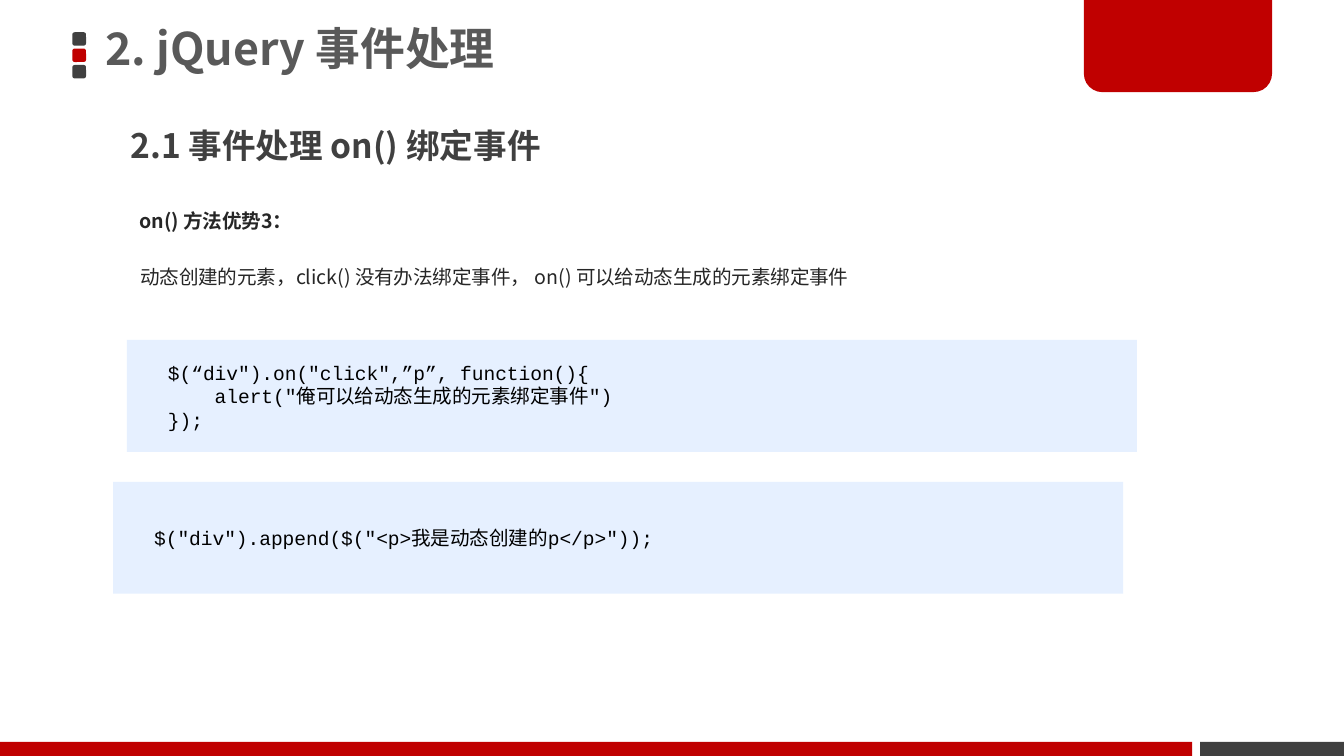
from dataclasses import dataclass

from lxml.etree import SubElement
from pptx import Presentation
from pptx.dml.color import RGBColor
from pptx.enum.shapes import MSO_SHAPE
from pptx.enum.text import MSO_ANCHOR, MSO_AUTO_SIZE, PP_ALIGN
from pptx.oxml.ns import qn
from pptx.util import Inches, Pt

# Colours and fonts
RED = RGBColor(0xC0, 0x00, 0x00)
DARK = RGBColor(0x40, 0x40, 0x40)
TITLE_GREY = RGBColor(0x59, 0x59, 0x59)
TEXT_GREY = RGBColor(0x26, 0x26, 0x26)
CODE_BLUE = RGBColor(0xE6, 0xF0, 0xFF)
BLACK = RGBColor(0x00, 0x00, 0x00)
SANS = "Noto Sans CJK SC"
MONO = "Courier New"

# The grid has columns and rows of 0.1 inch on a 16:9 slide
CELL = 0.1
COLUMNS = 100
ROWS = COLUMNS * 9 / 16
FOOTER_ROWS = 1.05


@dataclass(frozen=True)
class Area:
    column: float
    row: float
    columns: float
    rows: float

    def lengths(self) -> tuple:
        cells = (self.column, self.row, self.columns, self.rows)
        return tuple(Inches(n * CELL) for n in cells)


@dataclass(frozen=True)
class Style:
    size: float
    color: RGBColor
    bold: bool = False
    spacing: float = 1.0
    font: str = SANS
    indent: float = 0


TITLE = Style(24, TITLE_GREY, True, 0.9)
SECTION = Style(18, DARK, True, 0.9)
LEAD = Style(10.5, TEXT_GREY, True, 1.5)
DETAIL = Style(10.5, TEXT_GREY, False, 1.5)
CODE = Style(10.5, BLACK, font=MONO, indent=1.2)


def write(frame, text: str, style: Style, anchor=MSO_ANCHOR.TOP) -> None:
    """Fill a text frame and format every paragraph alike."""
    frame.text = text
    frame.word_wrap = True
    frame.auto_size = MSO_AUTO_SIZE.NONE
    frame.vertical_anchor = anchor
    for paragraph in frame.paragraphs:
        properties = paragraph._p.get_or_add_pPr()
        properties.set("marL", str(Inches(style.indent * CELL)))
        properties.set("indent", "0")
        SubElement(properties, qn("a:buNone"))
        paragraph.alignment = PP_ALIGN.LEFT
        paragraph.line_spacing = style.spacing
        paragraph.space_before = Pt(0)
        for run in paragraph.runs:
            run.font.size = Pt(style.size)
            run.font.bold = style.bold
            run.font.name = style.font
            run.font.color.rgb = style.color
            SubElement(run._r.get_or_add_rPr(), qn("a:ea")).set("typeface", SANS)


def draw_block(slide, area: Area, color: RGBColor, preset=MSO_SHAPE.RECTANGLE,
               corners: tuple = ()):
    block = slide.shapes.add_shape(preset, *area.lengths())
    block.shadow.inherit = False
    block.fill.solid()
    block.fill.fore_color.rgb = color
    block.line.fill.background()
    for index, corner in enumerate(corners):
        block.adjustments[index] = corner
    return block


def fill_placeholder(placeholder, area: Area, text: str, style: Style, anchor) -> None:
    (placeholder.left, placeholder.top,
     placeholder.width, placeholder.height) = area.lengths()
    write(placeholder.text_frame, text, style, anchor)


def add_note(slide, area: Area, text: str, style: Style) -> None:
    write(slide.shapes.add_textbox(*area.lengths()).text_frame, text, style)


def add_code(slide, column: float, row: float, code: str) -> None:
    panel = draw_block(slide, Area(column, row, 75.15, 8.33), CODE_BLUE)
    write(panel.text_frame, code, CODE, MSO_ANCHOR.MIDDLE)


def main() -> None:
    deck = Presentation()
    deck.slide_width = Inches(COLUMNS * CELL)
    deck.slide_height = Inches(ROWS * CELL)
    slide = deck.slides.add_slide(deck.slide_layouts[1])

    # Frame: title marker, corner tab and footer bars
    for step, color in enumerate((DARK, RED, DARK)):
        draw_block(slide, Area(5.38, 2.4 + 1.22 * step, 1.02, 1), color,
                   MSO_SHAPE.ROUNDED_RECTANGLE, (0.17,))
    draw_block(slide, Area(80.65, 0, 14, 6.86), RED,
               MSO_SHAPE.ROUND_2_SAME_RECTANGLE, (0, 0.2))
    footer_row = ROWS - FOOTER_ROWS
    draw_block(slide, Area(0, footer_row, 88.7, FOOTER_ROWS), RED)
    draw_block(slide, Area(89.3, footer_row, COLUMNS - 89.3, FOOTER_ROWS), DARK)

    # Headings
    fill_placeholder(slide.shapes.title, Area(6.85, 0.05, 73.7, 7.5),
                     "2. jQuery 事件处理", TITLE, MSO_ANCHOR.MIDDLE)
    fill_placeholder(slide.placeholders[1], Area(8.7, 9.1, 71.3, 5.9),
                     "2.1 事件处理 on() 绑定事件", SECTION, MSO_ANCHOR.TOP)

    # Explanation
    add_note(slide, Area(9.4, 14.2, 73.2, 4.2), "on() 方法优势3：", LEAD)
    add_note(slide, Area(9.45, 18.35, 73.7, 4.2),
             "动态创建的元素，click() 没有办法绑定事件， on() 可以给动态生成的元素绑定事件",
             DETAIL)

    # Code panels
    add_code(slide, 9.45, 25.3, """ $(“div").on("click",”p”, function(){
     alert("俺可以给动态生成的元素绑定事件")
 });""")
    add_code(slide, 8.42, 35.85, """ $("div").append($("<p>我是动态创建的p</p>"));""")

    deck.save("out.pptx")


if __name__ == "__main__":
    main()
